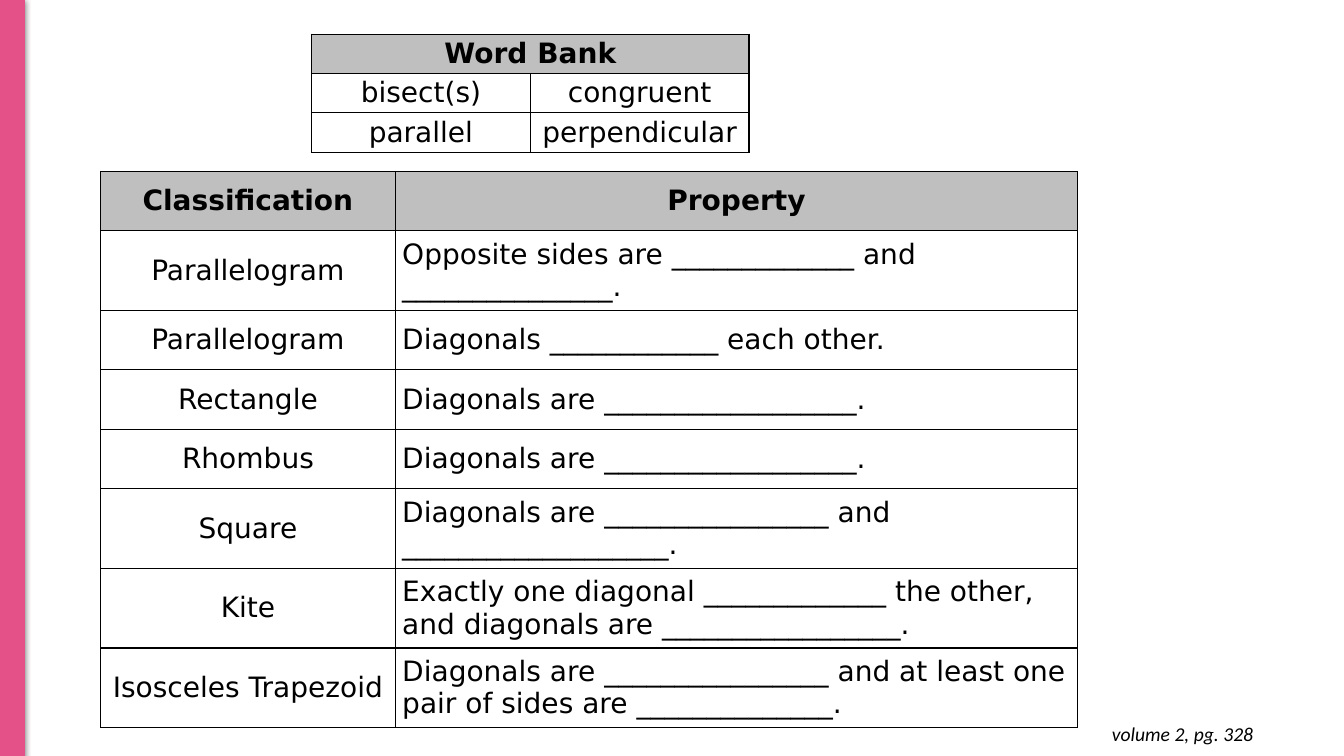
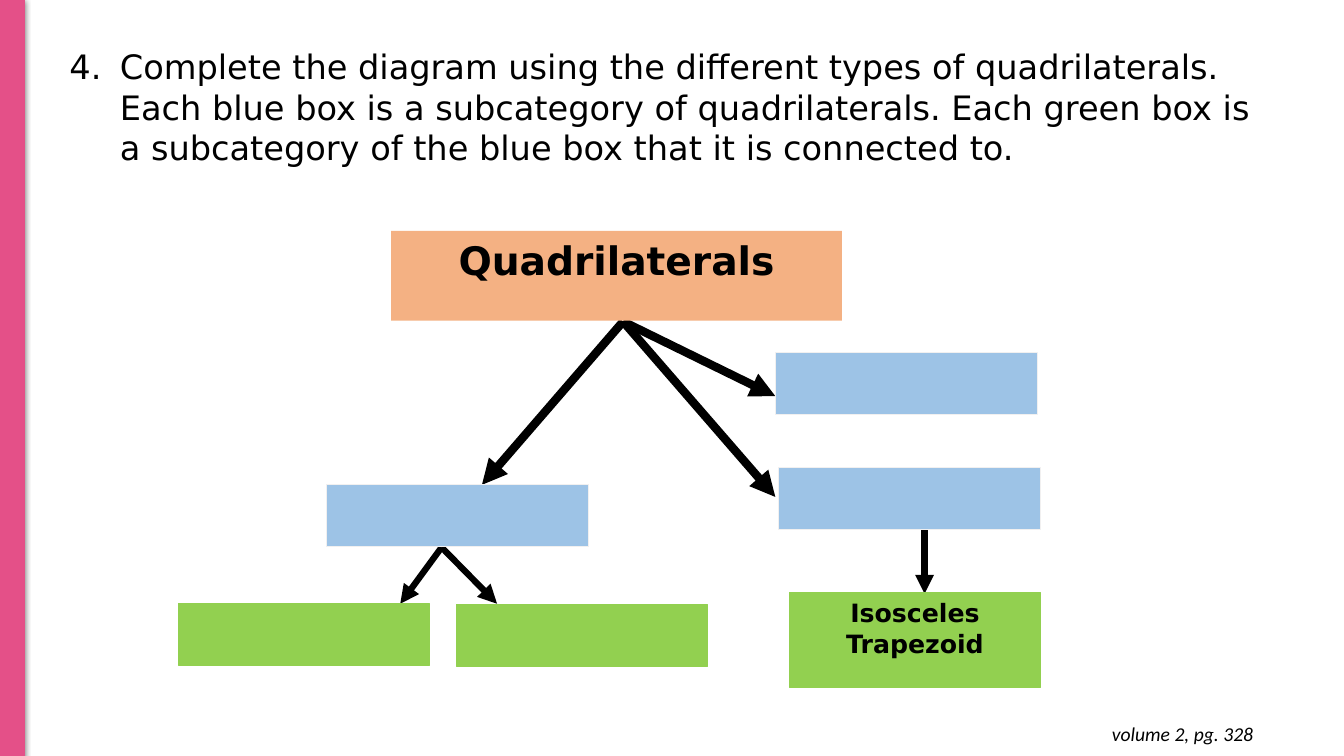
from lxml import etree
from pptx import Presentation
from pptx.dml.color import RGBColor
from pptx.enum import shapes, text
from pptx.oxml import parse_xml
from pptx.oxml.ns import nsdecls, qn
from pptx.util import Inches, Pt

BLACK, PINK, GRAY = "000000", "E45088", "BFBFBF"
ORANGE, BLUE, PALE, GREEN = "F4B183", "9DC3E6", "F1F0F0", "92D050"
SANS = "DejaVu Sans"
CENTER, LEFT, RIGHT = text.PP_ALIGN.CENTER, text.PP_ALIGN.LEFT, text.PP_ALIGN.RIGHT
FOOTER = "volume 2, pg. 328"

PROPERTIES = [
    ("Classification", "Property"),
    ("Parallelogram", "Opposite sides are _____________ and _______________."),
    ("Parallelogram", "Diagonals ____________ each other."),
    ("Rectangle", "Diagonals are __________________."),
    ("Rhombus", "Diagonals are __________________."),
    ("Square", "Diagonals are ________________ and ___________________."),
    ("Kite", "Exactly one diagonal _____________ the other, and diagonals are _________________."),
    ("Isosceles Trapezoid",
     "Diagonals are ________________ and at least one pair of sides are ______________."),
]
PROPERTY_HEIGHTS = [0.59, 0.79, 0.59, 0.59, 0.59, 0.79, 0.79, 0.79]
WORD_BANK = [("Word Bank", ""), ("bisect(s)", "congruent"), ("parallel", "perpendicular")]

QUESTION = ("Complete the diagram using the different types of quadrilaterals. "
            "Each blue box is a subcategory of quadrilaterals. Each green box is "
            "a subcategory of the blue box that it is connected to.")
QUESTION_NUMBER = 4
ARROWS = [
    (6.18, 3.19, 7.69, 3.93, 6),
    (6.18, 3.19, 4.78, 4.81, 6),
    (6.18, 3.19, 7.69, 4.93, 6),
    (4.38, 5.43, 3.97, 5.99, 4.5),
    (4.38, 5.43, 4.93, 5.99, 4.5),
    (9.17, 5.25, 9.17, 5.89, 4.5),
]
BOXES = [
    (3.88, 2.29, 4.47, 0.89, ORANGE, None, "Quadrilaterals", 28),
    (3.24, 4.81, 2.6, 0.61, BLUE, PALE, "", 18),
    (7.69, 3.5, 2.6, 0.61, BLUE, PALE, "", 18),
    (7.72, 4.64, 2.6, 0.61, BLUE, PALE, "", 18),
    (1.77, 5.99, 2.49, 0.61, GREEN, GREEN, "", 18),
    (4.53, 6, 2.49, 0.61, GREEN, GREEN, "", 18),
    (7.83, 5.88, 2.49, 0.94, GREEN, GREEN, "Isosceles Trapezoid", 18),
]


def color(value):
    return RGBColor.from_string(value)


def style(paragraph, size, align=LEFT, name=SANS, bold=False, italic=False):
    paragraph.alignment = align
    font = paragraph.font
    font.name, font.size, font.bold, font.italic = name, Pt(size), bold, italic
    font.color.rgb = color(BLACK)


def add_box(slide, left, top, width, height, fill, line):
    shape = slide.shapes.add_shape(shapes.MSO_SHAPE.RECTANGLE, Inches(left), Inches(top),
                                   Inches(width), Inches(height))
    shape.shadow.inherit = False
    shape.fill.solid()
    shape.fill.fore_color.rgb = color(fill)
    if line:
        shape.line.color.rgb = color(line)
        shape.line.width = Pt(0.75)
    else:
        shape.line.fill.background()
    return shape


def add_text(slide, left, top, width, height):
    frame = slide.shapes.add_textbox(Inches(left), Inches(top),
                                     Inches(width), Inches(height)).text_frame
    frame.word_wrap = True
    return frame


def add_band(slide):
    band = add_box(slide, 0, -0.01, 0.24, 7.51, PINK, PINK)
    effects = band._element.spPr.find(qn("a:effectLst"))
    effects.append(parse_xml(
        f'<a:outerShdw {nsdecls("a")} blurRad="{Pt(4.5)}" dist="{Pt(1.5)}" dir="5400000">'
        f'<a:srgbClr val="{BLACK}"><a:alpha val="50000"/></a:srgbClr></a:outerShdw>'))


def add_footer(slide):
    frame = add_text(slide, 9.65, 7.06, 2.88, 0.44)
    frame.margin_top = frame.margin_bottom = Inches(0.1)
    paragraph = frame.paragraphs[0]
    paragraph.text = FOOTER
    style(paragraph, 14, RIGHT, "Calibri", italic=True)


def fill_cell(cell, words, header, align):
    properties = cell._tc.get_or_add_tcPr()
    for side in ("lnL", "lnR", "lnT", "lnB"):
        properties.append(parse_xml(
            f'<a:{side} {nsdecls("a")} w="{Pt(1)}"><a:solidFill>'
            f'<a:srgbClr val="{BLACK}"/></a:solidFill></a:{side}>'))
    cell.margin_left = cell.margin_right = Inches(0.07)
    cell.margin_top = cell.margin_bottom = 0
    cell.vertical_anchor = text.MSO_ANCHOR.MIDDLE
    if header:
        cell.fill.solid()
        cell.fill.fore_color.rgb = color(GRAY)
    else:
        cell.fill.background()
    paragraph = cell.text_frame.paragraphs[0]
    paragraph.text = words
    style(paragraph, 20, align, bold=header)


def add_grid(slide, left, top, widths, heights, rows, body_aligns):
    table = slide.shapes.add_table(len(rows), len(widths), Inches(left), Inches(top),
                                   Inches(sum(widths)), Inches(sum(heights))).table
    table.first_row = table.horz_banding = False
    for column, width in zip(table.columns, widths):
        column.width = Inches(width)
    for index, (row, height, words) in enumerate(zip(table.rows, heights, rows)):
        row.height = Inches(height)
        header = index == 0
        for cell, word, align in zip(row.cells, words, body_aligns):
            fill_cell(cell, word, header, CENTER if header else align)
    return table


def add_question(slide):
    paragraph = add_text(slide, 0.59, 0.41, 12.13, 1.31).paragraphs[0]
    paragraph.text = QUESTION
    properties = paragraph._p.get_or_add_pPr()
    properties.set("marL", str(Inches(0.5)))
    properties.set("indent", str(-Inches(0.5)))
    bullet_color = etree.SubElement(properties, qn("a:buClr"))
    etree.SubElement(bullet_color, qn("a:srgbClr"), val=BLACK)
    etree.SubElement(properties, qn("a:buAutoNum"), type="arabicPeriod",
                     startAt=str(QUESTION_NUMBER))
    style(paragraph, 24)


def add_arrow(slide, x1, y1, x2, y2, weight):
    arrow = slide.shapes.add_connector(shapes.MSO_CONNECTOR.STRAIGHT, Inches(x1), Inches(y1),
                                       Inches(x2), Inches(y2))
    arrow.line.color.rgb = color(BLACK)
    arrow.line.width = Pt(weight)
    etree.SubElement(arrow.line._get_or_add_ln(), qn("a:tailEnd"), type="triangle")
    etree.SubElement(arrow._element.spPr, qn("a:effectLst"))


def add_label(shape, words, size):
    frame = shape.text_frame
    frame.word_wrap = True
    frame.vertical_anchor = text.MSO_ANCHOR.TOP
    paragraph = frame.paragraphs[0]
    paragraph.text = words
    style(paragraph, size, CENTER, bold=True)


def build_properties(slide):
    add_grid(slide, 1, 1.7, [2.92, 6.77], PROPERTY_HEIGHTS, PROPERTIES, [CENTER, LEFT])
    bank = add_grid(slide, 3.09, 0.34, [2.17] * 2, [0.39] * 3, WORD_BANK, [CENTER] * 2)
    bank.cell(0, 0).merge(bank.cell(0, 1))


def build_diagram(slide):
    add_question(slide)
    for arrow in ARROWS:
        add_arrow(slide, *arrow)
    for *box, words, size in BOXES:
        shape = add_box(slide, *box)
        if words:
            add_label(shape, words, size)


def main():
    presentation = Presentation()
    presentation.slide_width, presentation.slide_height = Inches(13.33), Inches(7.5)
    for build in (build_properties, build_diagram):
        slide = presentation.slides.add_slide(presentation.slide_layouts[6])
        add_band(slide)
        build(slide)
        add_footer(slide)
    presentation.save("out.pptx")


if __name__ == "__main__":
    main()
